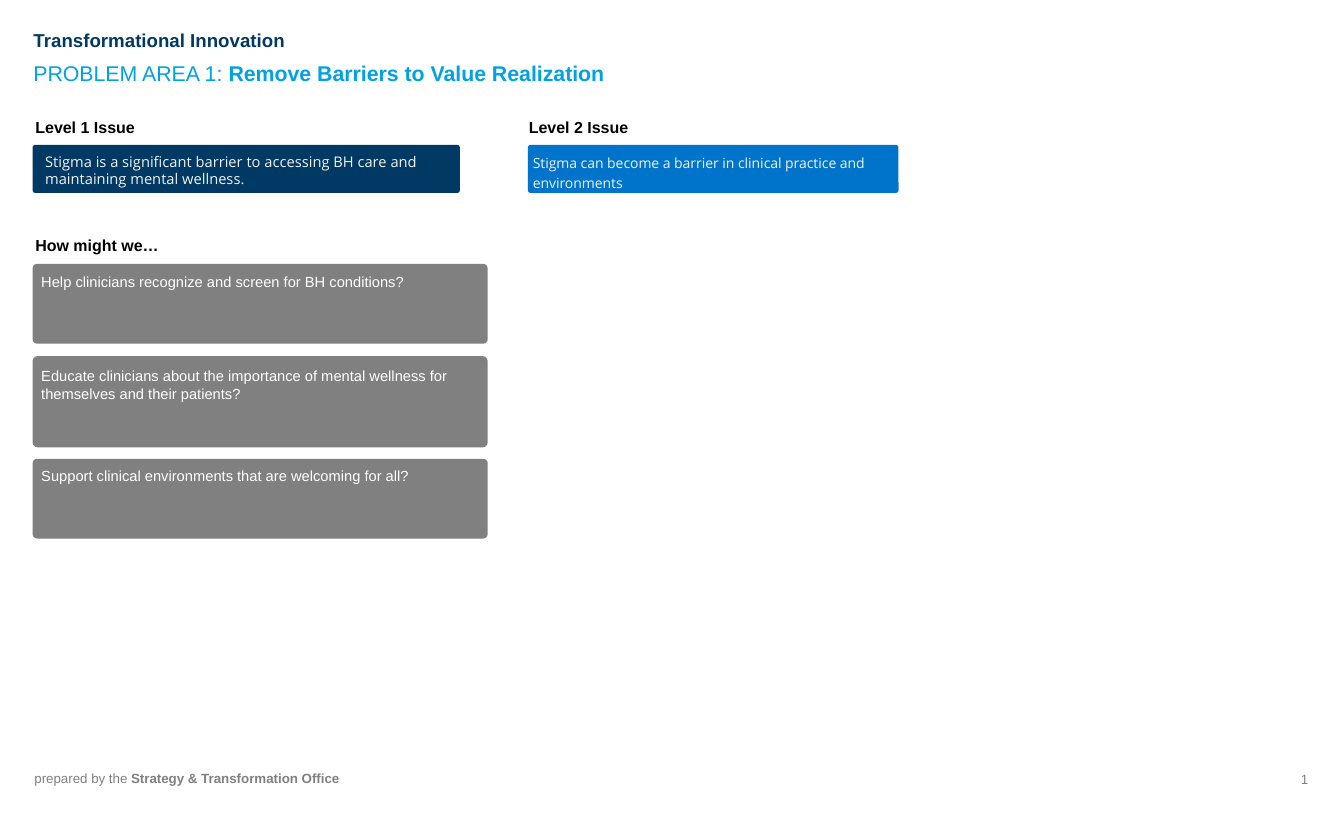
import pptx
import pptx.dml.color
import pptx.enum.shapes
import pptx.enum.text
import pptx.util

Inches = pptx.util.Inches

NAVY, BLUE, CYAN = "003963", "0074CA", "00A2E2"
GREY, PALE, WHITE, BLACK = "808080", "F2F2F2", "FFFFFF", "000000"
LEFT = 0.34
TIGHT = (0.05, 0.03)
NORMAL = (0.1, 0.05)


def color(hex_text):
    return pptx.dml.color.RGBColor.from_string(hex_text)


def add_span(para, text, *, size, fill, font="Arial", bold=False):
    span = para.add_run()
    span.text = text
    span.font.name = font
    span.font.size = pptx.util.Pt(size)
    span.font.bold = bold
    span.font.color.rgb = color(fill)


class SlideBuilder:
    """Holds the shared style and the current slide."""

    corner = 0.053

    def __init__(self, page):
        self.page = page

    def panel(self, left, top, width, height, fill):
        shape = self.page.shapes.add_shape(
            pptx.enum.shapes.MSO_SHAPE.ROUNDED_RECTANGLE,
            Inches(left), Inches(top), Inches(width), Inches(height))
        shape.adjustments[0] = self.corner
        shape.shadow.inherit = False
        shape.fill.solid()
        shape.fill.fore_color.rgb = color(fill)
        shape.line.fill.background()

    def text(self, left, top, width, height, text, *, strong="", wrap=True,
             inset=NORMAL, align="LEFT", line_spacing=None, **style):
        """Place one paragraph; strong is a bold ending in the same style."""
        box = self.page.shapes.add_textbox(
            Inches(left), Inches(top), Inches(width), Inches(height))
        frame = box.text_frame
        frame.word_wrap = wrap
        frame.auto_size = pptx.enum.text.MSO_AUTO_SIZE.SHAPE_TO_FIT_TEXT
        frame.margin_left = frame.margin_right = Inches(inset[0])
        frame.margin_top = frame.margin_bottom = Inches(inset[1])
        para = frame.paragraphs[0]
        para.alignment = pptx.enum.text.PP_ALIGN[align]
        if line_spacing:
            para.line_spacing = line_spacing
        add_span(para, text, **style)
        if strong:
            add_span(para, strong, **{**style, "bold": True})

    def heading(self, left, top, width, text):
        self.text(left, top, width, 0.3, text, wrap=False,
                  size=12, fill=BLACK, bold=True)


def main():
    deck = pptx.Presentation()
    deck.slide_width, deck.slide_height = Inches(14), Inches(8.5)
    slide = SlideBuilder(deck.slides.add_slide(deck.slide_layouts[6]))

    # Footer
    slide.text(13.43, 7.98, 0.32, 0.27, "1", align="CENTER", size=10, fill=GREY)
    slide.text(0.26, 7.97, 3.71, 0.27, "prepared by the ",
               strong="Strategy & Transformation Office", size=10, fill=GREY)

    # Titles
    slide.text(0.25, 0.25, 2.92, 0.34, "Transformational Innovation",
               size=14, fill=NAVY, bold=True)
    slide.text(0.25, 0.58, 7.4, 0.37, "PROBLEM AREA 1: ",
               strong="Remove Barriers to Value Realization", size=16, fill=CYAN)

    # Issues
    slide.heading(0.27, 1.17, 1.25, "Level 1 Issue")
    slide.panel(LEFT, 1.51, 4.45, 0.5, NAVY)
    slide.text(0.42, 1.56, 4.36, 0.65,
               "Stigma is a significant barrier to accessing BH care and "
               "maintaining mental wellness.",
               inset=TIGHT, size=11, font="Open Sans", fill=PALE)
    slide.heading(5.41, 1.17, 1.25, "Level 2 Issue")
    slide.panel(5.5, 1.51, 3.86, 0.5, BLUE)
    slide.text(5.5, 1.54, 3.68, 0.69,
               "Stigma can become a barrier in clinical practice and environments",
               inset=TIGHT, line_spacing=1.2, size=10.5, font="Open Sans",
               fill=PALE)

    # Questions: panel top and height, text top and height
    slide.heading(0.27, 2.4, 1.5, "How might we…")
    questions = [
        (2.75, 0.83, 2.81, 0.24,
         "Help clinicians recognize and screen for BH conditions?"),
        (3.71, 0.95, 3.79, 0.42,
         "Educate clinicians about the importance of mental wellness for "
         "themselves and their patients?"),
        (4.78, 0.83, 4.83, 0.24,
         "Support clinical environments that are welcoming for all?"),
    ]
    for top, height, text_top, text_height, question in questions:
        slide.panel(LEFT, top, 4.74, height, GREY)
        slide.text(0.38, text_top, 4.66, text_height, question,
                   inset=TIGHT, size=11, fill=WHITE)

    deck.save("out.pptx")


if __name__ == "__main__":
    main()
